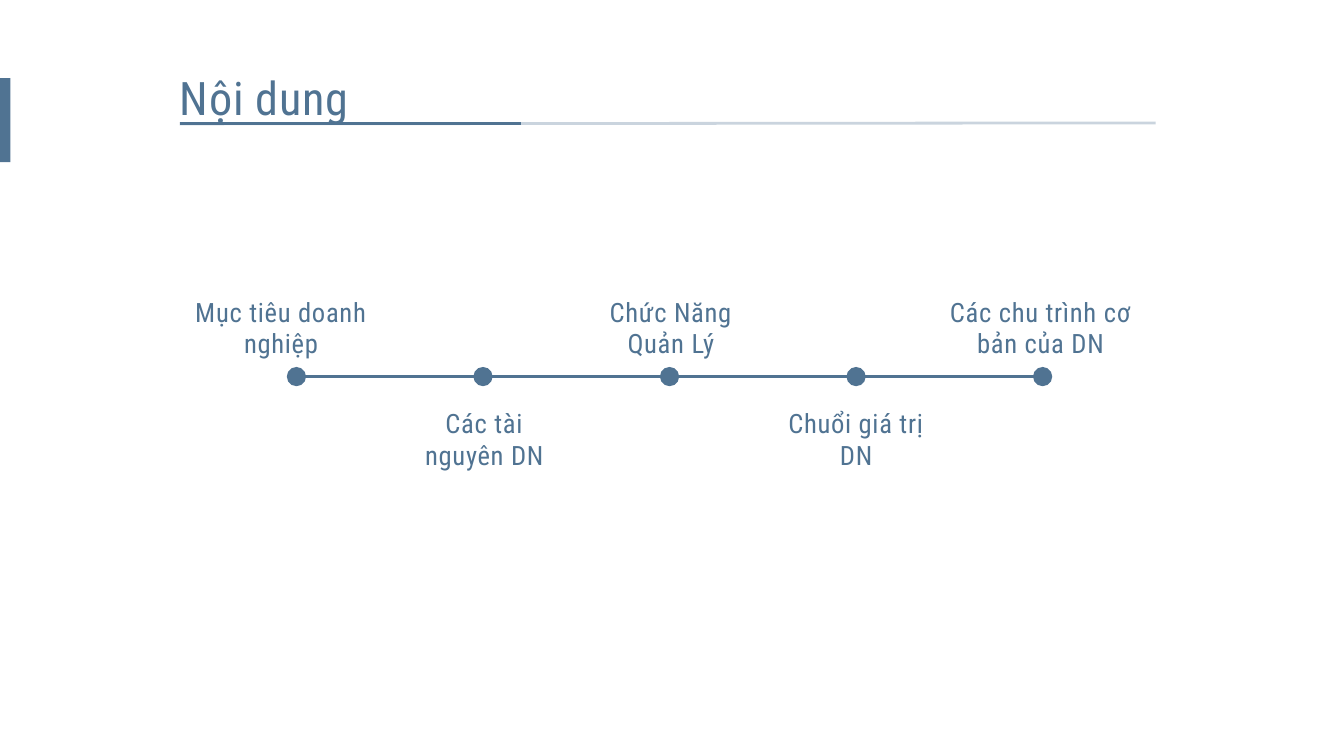
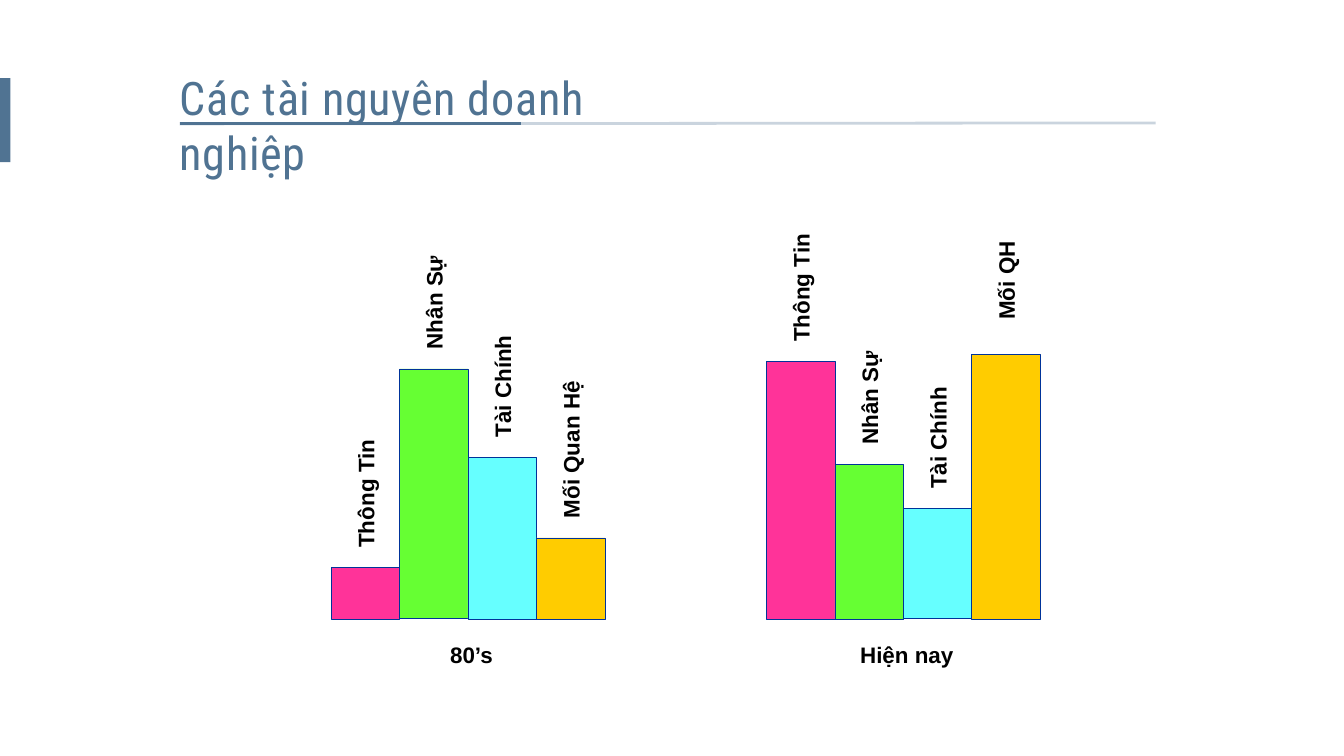
from pptx import Presentation
from pptx.dml.color import RGBColor
from pptx.enum.shapes import MSO_CONNECTOR as CONN, MSO_SHAPE as SHAPE
from pptx.enum.text import MSO_ANCHOR as ANCHOR, MSO_AUTO_SIZE as FIT, PP_ALIGN as ALIGN
from pptx.oxml.ns import qn
from pptx.util import Pt
from lxml import etree

SLATE = RGBColor(0x50, 0x73, 0x92)
BLACK = RGBColor(0, 0, 0)
NAVY = RGBColor(0x00, 0x33, 0x99)
PINK = RGBColor(0xFF, 0x33, 0x99)
GREEN = RGBColor(0x66, 0xFF, 0x33)
CYAN = RGBColor(0x66, 0xFF, 0xFF)
AMBER = RGBColor(0xFF, 0xCC, 0x00)
BAR_COLORS = [PINK, GREEN, CYAN, AMBER]

TITLE = {"name": "Roboto Condensed", "size": Pt(66)}
STEP = {"name": "Roboto Condensed", "size": Pt(38)}
CHART = {"name": "Arial", "size": Pt(32), "bold": True}

UNIT = 10.5  # height of one step on the bar scale


def add_line(slide, x1, y1, x2, y2, alpha=None):
    s = slide.shapes.add_connector(CONN.STRAIGHT, Pt(x1), Pt(y1), Pt(x2), Pt(y2))
    s.line.width = Pt(4)
    s.line.color.rgb = SLATE
    sp_pr = s._element.spPr
    if alpha:
        clr = sp_pr.find(".//" + qn("a:srgbClr"))
        etree.SubElement(clr, qn("a:alpha")).set("val", str(alpha * 1000))
    etree.SubElement(sp_pr, qn("a:effectLst"))


def add_solid(slide, kind, x, y, w, h, fill, outline=None):
    s = slide.shapes.add_shape(kind, Pt(x), Pt(y), Pt(w), Pt(h))
    s.shadow.inherit = False
    s.fill.solid()
    s.fill.fore_color.rgb = fill
    if outline is None:
        s.line.fill.background()
    else:
        s.line.color.rgb = outline
        s.line.width = Pt(0.75)


def add_text(slide, text, x, y, w, h, font, color, align=ALIGN.LEFT,
             wrap=True, grow=True, spacing=None):
    s = slide.shapes.add_textbox(Pt(x), Pt(y), Pt(w), Pt(h))
    tf = s.text_frame
    tf.word_wrap = wrap
    tf.auto_size = FIT.SHAPE_TO_FIT_TEXT if grow else FIT.NONE
    p = tf.paragraphs[0]
    p.alignment = align
    r = p.add_run()
    r.text = text
    for key, value in font.items():
        setattr(r.font, key, value)
    r.font.color.rgb = color
    if spacing:
        r._r.get_or_add_rPr().set("spc", str(spacing * 100))
    return s


def header(slide, title, x, y, w, title_w, title_h):
    """Side tab, two-tone rule and title; (x, y) is the left end of the rule."""
    add_line(slide, x, y, x + w, y - 1.4, alpha=30)
    add_line(slide, x, y, x + 488, y)
    add_solid(slide, SHAPE.RECTANGLE, 0, y - 65.5, 15, 120, SLATE)
    add_text(slide, title, x - 6.5, y - 82, title_w, title_h, TITLE, SLATE, spacing=1)


def timeline(slide, steps, x, y, w, dot=27.5):
    """Axis from (x, y) with evenly spaced dots, labels alternately above and below."""
    add_line(slide, x, y, x + w, y)
    gap = w / (len(steps) - 1)
    for i, (text, label_w, shift) in enumerate(steps):
        cx = x + i * gap
        add_solid(slide, SHAPE.OVAL, cx - dot / 2, y - dot / 2, dot, dot, SLATE)
        top = y + 39.5 if i % 2 else y - 119.5
        add_text(slide, text, cx + shift - label_w / 2, top, label_w, 99, STEP, SLATE,
                 ALIGN.CENTER, spacing=1)


def bar_group(slide, caption, caption_w, bars, x, base, w):
    """Touching bars standing on base, each with a vertical label above it."""
    bar_w = w / len(bars)
    for i, (name, height, label_h, gap) in enumerate(bars):
        left, top = x + i * bar_w, base - height * UNIT
        add_solid(slide, SHAPE.RECTANGLE, left, top, bar_w, height * UNIT,
                  BAR_COLORS[i], NAVY)
        s = add_text(slide, name, left, top - (gap + label_h) * UNIT, bar_w,
                     label_h * UNIT, CHART, BLACK, wrap=False, grow=False)
        s.rotation = 180
        s.text_frame.vertical_anchor = ANCHOR.MIDDLE
        s.text_frame._txBody.bodyPr.set("vert", "eaVert")
    add_text(slide, caption, x + w / 2 + 5 - caption_w / 2, base + 29, caption_w, 46,
             CHART, BLACK, ALIGN.CENTER, wrap=False)


def contents_slide(slide):
    header(slide, "Nội dung", 256.5, 177, 1394.5, 452, 87)
    # Label, label width, shift from the dot
    timeline(slide, [
        ("Mục tiêu doanh nghiệp", 281, -22),
        ("Các tài nguyên DN", 235.5, 2),
        ("Chức Năng Quản Lý", 235.5, 2),
        ("Chuổi giá trị DN", 235.5, 0),
        ("Các chu trình cơ bản của DN", 322.5, -3),
    ], 423.5, 538, 1066)


def resources_slide(slide):
    header(slide, "Các tài nguyên doanh nghiệp", 256.5, 177, 1394.5, 626.5, 167)
    # Name, bar height, label height, gap under the label (in scale units)
    bar_group(slide, "80’s", 76, [
        ("Thông Tin", 7, 17, 2),
        ("Nhân Sự", 34, 12, 2),
        ("Tài Chính", 22, 18, 2),
        ("Mối Quan Hệ", 11, 32, 2),
    ], 473, 884, 391)
    bar_group(slide, "Hiện nay", 149, [
        ("Thông Tin", 35, 15, 2),
        ("Nhân Sự", 21, 14, 2),
        ("Tài Chính", 15, 18, 2),
        ("Mối QH", 36, 13, 4),
    ], 1095, 884, 391)


def main():
    prs = Presentation()
    prs.slide_width, prs.slide_height = Pt(1920), Pt(1080)
    for build in (contents_slide, resources_slide):
        build(prs.slides.add_slide(prs.slide_layouts[6]))
    prs.save("out.pptx")


if __name__ == "__main__":
    main()
